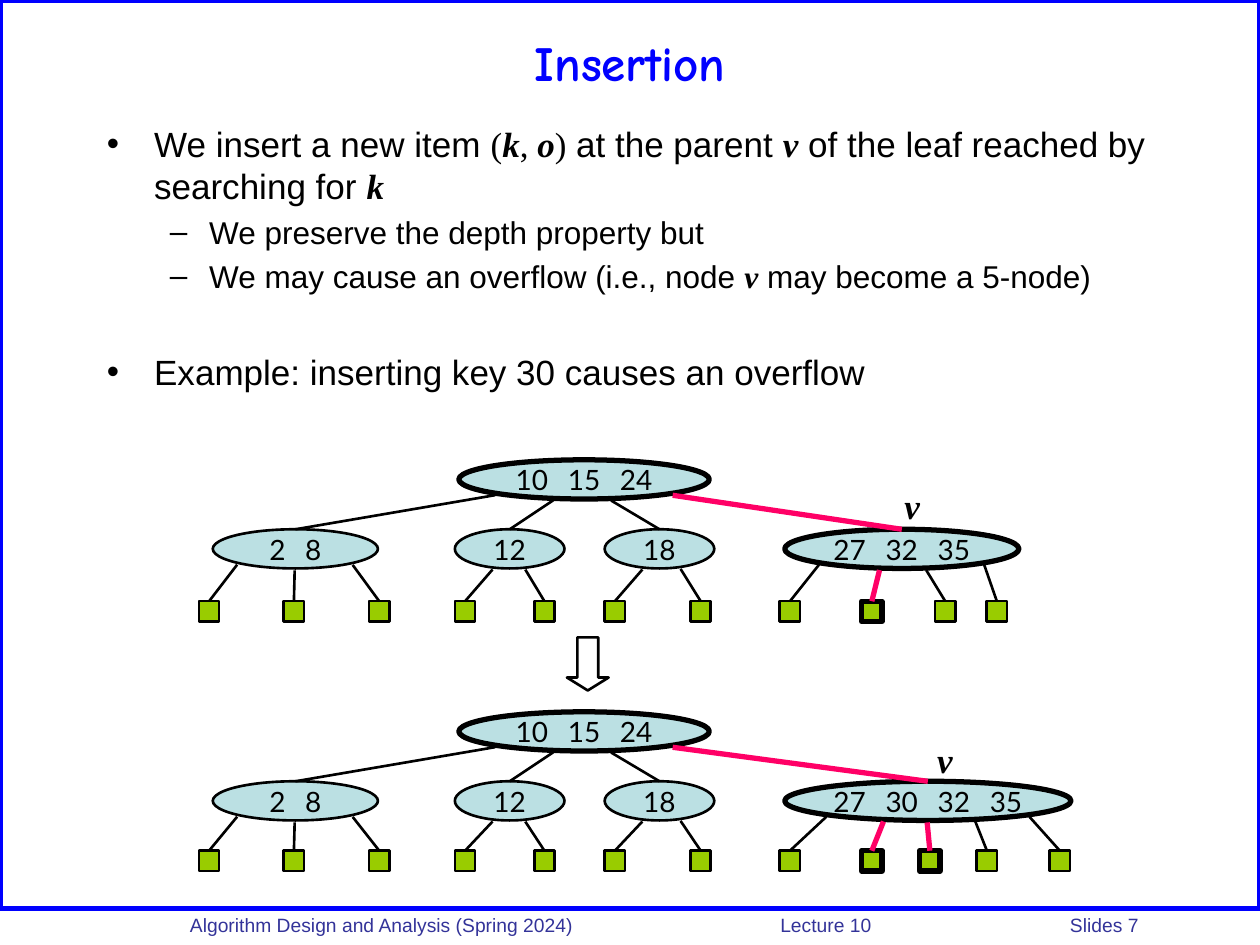
from dataclasses import dataclass
from math import sqrt

from lxml import etree
from pptx import Presentation
from pptx.dml.color import RGBColor
from pptx.enum.shapes import MSO_CONNECTOR, MSO_SHAPE
from pptx.enum.text import MSO_ANCHOR, MSO_AUTO_SIZE, PP_ALIGN
from pptx.oxml.ns import qn
from pptx.util import Cm, Pt

STRAIGHT = MSO_CONNECTOR.STRAIGHT
RECTANGLE, OVAL, DOWN_ARROW = MSO_SHAPE.RECTANGLE, MSO_SHAPE.OVAL, MSO_SHAPE.DOWN_ARROW
MIDDLE = MSO_ANCHOR.MIDDLE
CENTER = PP_ALIGN.CENTER
NO_AUTOFIT, GROW = MSO_AUTO_SIZE.NONE, MSO_AUTO_SIZE.SHAPE_TO_FIT_TEXT


@dataclass(frozen=True)
class Theme:
    """Colours, fonts, type sizes and line widths of the slide."""
    blue: str = "0000FF"
    footer: str = "333399"
    black: str = "000000"
    node: str = "BBE0E3"
    leaf: str = "99CC00"
    route: str = "FF0066"
    sans: str = "Arial"
    serif: str = "Times New Roman"
    heading: str = "Comic Neue"
    keys: str = "Lato"
    title_size: float = 28
    body_size: float = 20
    sub_size: float = 18
    key_size: float = 16
    footer_size: float = 11
    key_gap: int = 720
    thin: float = 1.5
    thick: float = 3


@dataclass(frozen=True)
class Node:
    """A tree node: keys, extent, and its leaves as (left, foot x, on route)."""
    keys: tuple
    left: float
    width: float
    leaves: tuple = ()
    bold: bool = False


THEME = Theme()
NODE_HEIGHT, LEAF_SIZE, LEVEL_DROP, FOOT_GAP = 0.79, 0.41, 1.4, 0.04
ROOT = Node(("10", "15", "24"), 9.25, 5.05, bold=True)
ROOT_FEET = (9.98, 11.15, 12.32, 13.56)
SHARED_NODES = (
    Node(("2", "8"), 4.29, 3.33, ((4.01, 4.78, False), (5.72, 5.94, False), (7.44, 7.11, False))),
    Node(("12",), 9.17, 2.21, ((9.17, 9.93, False), (10.77, 10.59, False))),
    Node(("18",), 12.19, 2.21, ((12.19, 12.95, False), (13.92, 13.72, False))),
)
NODE_BEFORE = Node(
    ("27", "32", "35"), 15.82, 4.72,
    ((15.72, 16.51, False), (17.37, 17.73, True), (18.85, 18.67, False), (19.89, 19.84, False)), True)
NODE_AFTER = Node(
    ("27", "30", "32", "35"), 15.82, 5.77,
    ((15.72, 16.66, False), (17.37, 17.81, True), (18.54, 18.69, True),
     (19.69, 19.66, False), (21.16, 20.75, False)), True)
BODY = (
    (0, 0, (("We insert a new item ", False), ("(", None), ("k", True), (", ", None), ("o", True),
            (")", None), (" at the parent ", False), ("v", True),
            (" of the leaf reached by searching for ", False), ("k", True))),
    (1, None, (("We preserve the depth property but", False),)),
    (1, None, (("We may cause an overflow (i.e., node ", False), ("v", True),
               (" may become a 5-node)", False))),
    (0, 32, (("Example: inserting key 30 causes an overflow", False),)),
)


def add_run(paragraph, text, font, size, color=THEME.black, bold=False, italic=False):
    """Append one formatted run and return it."""
    run = paragraph.add_run()
    run.text = text
    run.font.name, run.font.size = font, Pt(size)
    run.font.bold, run.font.italic = bold, italic
    run.font.color.rgb = RGBColor.from_string(color)
    return run


def add_variable(paragraph, text, size):
    """Append a bold italic serif variable name."""
    add_run(paragraph, text, THEME.serif, size, bold=True, italic=True)


def place(shape, left, top, width, height):
    """Move and size a shape in centimetres."""
    shape.left, shape.top, shape.width, shape.height = map(Cm, (left, top, width, height))


def add_box(slide, kind, box, fill=None, line=THEME.black, weight=THEME.thin):
    """Add a flat outlined preset shape."""
    shape = slide.shapes.add_shape(kind, *map(Cm, box))
    shape.shadow.inherit = False
    if fill:
        shape.fill.solid()
        shape.fill.fore_color.rgb = RGBColor.from_string(fill)
    else:
        shape.fill.background()
    shape.line.color.rgb = RGBColor.from_string(line)
    shape.line.width = Pt(weight)
    return shape


def add_node(slide, node, top):
    """Add an oval node with evenly spaced keys."""
    shape = add_box(slide, OVAL, (node.left, top, node.width, NODE_HEIGHT), THEME.node,
                    weight=THEME.thick if node.bold else THEME.thin)
    frame = shape.text_frame
    frame.word_wrap, frame.vertical_anchor = False, MIDDLE
    paragraph = frame.paragraphs[0]
    paragraph.alignment = CENTER
    for index, key in enumerate(node.keys):
        if index:
            gap = add_run(paragraph, " ", THEME.keys, THEME.key_size)
            gap.font._element.set("spc", str(THEME.key_gap))
        add_run(paragraph, key, THEME.keys, THEME.key_size)
    return shape


def add_edge(slide, child, node, top, foot, on_route):
    """Link the top of a child to the lower rim of its parent node."""
    radius = node.width / 2
    offset = (foot - node.left - radius) / radius
    rim = top + NODE_HEIGHT / 2 * (1 + sqrt(1 - offset ** 2)) + FOOT_GAP
    edge = slide.shapes.add_connector(STRAIGHT, child.left, child.top, Cm(foot), Cm(rim))
    edge.begin_connect(child, 0)
    edge.line.color.rgb = RGBColor.from_string(THEME.route if on_route else THEME.black)
    edge.line.width = Pt(THEME.thick if on_route else THEME.thin)
    etree.SubElement(edge._element.spPr, qn("a:effectLst"))


def add_tree(slide, top, leaf_top, last_node, label_left, label_top):
    """Draw a whole tree whose last node is the insertion node v."""
    add_node(slide, ROOT, top)
    node_top = top + LEVEL_DROP
    for node, root_foot in zip(SHARED_NODES + (last_node,), ROOT_FEET):
        shape = add_node(slide, node, node_top)
        add_edge(slide, shape, ROOT, top, root_foot, node.bold)
        for left, foot, on_route in node.leaves:
            leaf = add_box(slide, RECTANGLE, (left, leaf_top, LEAF_SIZE, LEAF_SIZE), THEME.leaf,
                           weight=THEME.thick if on_route else THEME.thin)
            add_edge(slide, leaf, node, node_top, foot, on_route)
    label = slide.shapes.add_textbox(*map(Cm, (label_left, label_top, 0.81, 1.09)))
    label.text_frame.word_wrap, label.text_frame.auto_size = False, GROW
    paragraph = label.text_frame.paragraphs[0]
    paragraph.alignment = CENTER
    add_variable(paragraph, "v", THEME.body_size)


def fill_title(title):
    """Place and write the slide title."""
    place(title, 1.27, 0.2, 22.86, 2.11)
    title.text_frame.vertical_anchor = MIDDLE
    paragraph = title.text_frame.paragraphs[0]
    paragraph.alignment = CENTER
    add_run(paragraph, "Insertion", THEME.heading, THEME.title_size, THEME.blue, bold=True)


def fill_body(body):
    """Place and write the bulleted list."""
    place(body, 1.9, 2.34, 22.23, 6.55)
    frame = body.text_frame
    frame.auto_size = NO_AUTOFIT
    for index, (level, space, runs) in enumerate(BODY):
        paragraph = frame.add_paragraph() if index else frame.paragraphs[0]
        paragraph.level = level
        if space is not None:
            paragraph.space_before = Pt(space)
        size = THEME.sub_size if level else THEME.body_size
        for text, variable in runs:
            if variable:
                add_variable(paragraph, text, size)
            else:
                add_run(paragraph, text, THEME.serif if variable is None else THEME.sans, size)


def add_footer(slide):
    """Add the footer line with its parts at tab stops."""
    footer = slide.shapes.add_textbox(*map(Cm, (3.58, 18.29, 21.82, 0.66)))
    footer.text_frame.word_wrap = True
    paragraph = footer.text_frame.paragraphs[0]
    stops = etree.SubElement(paragraph._p.get_or_add_pPr(), qn("a:tabLst"))
    for position in (11.9, 17.74):
        etree.SubElement(stops, qn("a:tab"), pos=str(Cm(position)), algn="l")
    for text in ("Algorithm Design and Analysis (Spring 2024)", "\tLecture 10", "\tSlides 7"):
        add_run(paragraph, text, THEME.sans, THEME.footer_size, THEME.footer)


def main():
    """Build and save the slide."""
    presentation = Presentation()
    presentation.slide_width, presentation.slide_height = Cm(25.4), Cm(19.05)
    slide = presentation.slides.add_slide(presentation.slide_layouts[1])
    fill_title(slide.shapes.title)
    fill_body(slide.placeholders[1])
    add_box(slide, RECTANGLE, (0, 0, 25.4, 18.31), line=THEME.blue, weight=THEME.thick)
    add_footer(slide)
    add_tree(slide, 9.27, 12.12, NODE_BEFORE, 17.98, 9.65)
    arrow = add_box(slide, DOWN_ARROW, (11.43, 12.85, 0.84, 1.07))
    arrow.adjustments[1] = 0.31
    add_tree(slide, 14.35, 17.15, NODE_AFTER, 18.64, 14.76)
    presentation.save("out.pptx")


if __name__ == "__main__":
    main()
